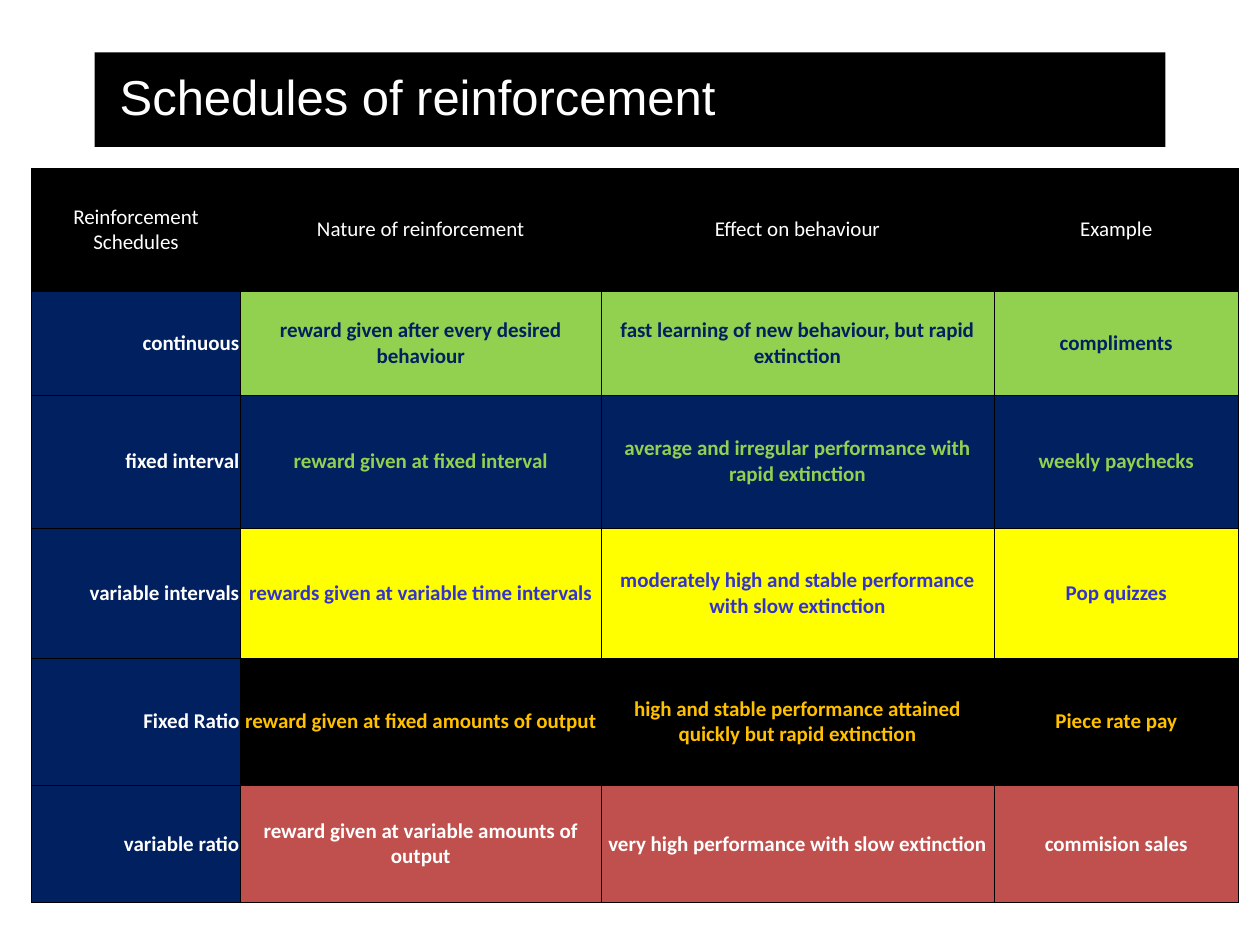
from lxml.etree import SubElement
from pptx import Presentation
from pptx.dml.color import RGBColor as RGB
from pptx.enum.text import MSO_ANCHOR as Anchor, MSO_AUTO_SIZE as AutoSize, PP_ALIGN as Align
from pptx.oxml.ns import qn
from pptx.util import Pt

BLACK = RGB(0x00, 0x00, 0x00)
WHITE = RGB(0xFF, 0xFF, 0xFF)
NAVY = RGB(0x00, 0x20, 0x60)
GREEN = RGB(0x92, 0xD0, 0x50)
YELLOW = RGB(0xFF, 0xFF, 0x00)
BLUE = RGB(0x33, 0x33, 0xCC)
AMBER = RGB(0xFF, 0xC0, 0x00)
RED = RGB(0xC0, 0x50, 0x4D)

schedules = [
    (70.56, BLACK, WHITE, ["Reinforcement Schedules", "Nature of reinforcement",
                           "Effect on behaviour", "Example"]),
    (59.04, GREEN, NAVY, ["continuous", "reward given after every desired behaviour",
                          "fast learning of new behaviour, but rapid extinction", "compliments"]),
    (76.32, NAVY, GREEN, ["fixed interval", "reward given at fixed interval",
                          "average and irregular performance with rapid extinction",
                          "weekly paychecks"]),
    (74.16, YELLOW, BLUE, ["variable intervals", "rewards given at variable time intervals",
                           "moderately high and stable performance with slow extinction",
                           "Pop quizzes"]),
    (72.72, BLACK, AMBER, ["Fixed Ratio", "reward given at fixed amounts of output",
                           "high and stable performance attained quickly but rapid extinction",
                           "Piece rate pay"]),
    (66.96, RED, WHITE, ["variable ratio", "reward given at variable amounts of output",
                         "very high performance with slow extinction", "commision sales"]),
]
column_widths = [119.52, 205.92, 224.64, 139.68]


def apply(target, values):
    for name, value in values.items():
        setattr(target, name, value)


def add_borders(cell):
    properties = cell._tc.get_or_add_tcPr()
    for position, side in enumerate(("lnL", "lnR", "lnT", "lnB")):
        border = SubElement(properties, qn(f"a:{side}"), w=str(Pt(0.23)))
        fill = SubElement(border, qn("a:solidFill"))
        SubElement(fill, qn("a:srgbClr"), val=str(BLACK))
        properties.insert(position, border)


deck = Presentation()
apply(deck, {"slide_width": Pt(720), "slide_height": Pt(540)})
slide = deck.slides.add_slide(deck.slide_layouts[5])

title = slide.shapes.title
apply(title, {"left": Pt(54), "top": Pt(30), "width": Pt(612), "height": Pt(54)})
title.fill.solid()
title.fill.fore_color.rgb = BLACK
apply(title.text_frame, {
    "text": "Schedules of reinforcement", "word_wrap": True, "auto_size": AutoSize.NONE,
    "vertical_anchor": Anchor.MIDDLE, "margin_left": Pt(14.4), "margin_right": Pt(7.2),
    "margin_top": Pt(3.6), "margin_bottom": Pt(3.6)})
heading = title.text_frame.paragraphs[0]
apply(heading, {"alignment": Align.LEFT, "line_spacing": 0.87})
apply(heading.font, {"name": "Arial", "size": Pt(28)})
heading.font.color.rgb = WHITE

table = slide.shapes.add_table(
    len(schedules), len(column_widths), Pt(18), Pt(96),
    Pt(sum(column_widths)), Pt(sum(schedule[0] for schedule in schedules))).table
apply(table, {"first_row": False, "horz_banding": False})
for column, width in zip(table.columns, column_widths):
    column.width = Pt(width)

for r, (height, row_fill, row_ink, words) in enumerate(schedules):
    table.rows[r].height = Pt(height)
    for c, wording in enumerate(words):
        is_schedule_name = r > 0 and c == 0
        cell = table.cell(r, c)
        apply(cell, {
            "text": wording, "vertical_anchor": Anchor.MIDDLE,
            "margin_left": Pt(0.72), "margin_right": Pt(0.72),
            "margin_top": Pt(3.6), "margin_bottom": Pt(3.6)})
        cell.fill.solid()
        cell.fill.fore_color.rgb = NAVY if is_schedule_name else row_fill
        add_borders(cell)
        entry = cell.text_frame.paragraphs[0]
        entry.alignment = Align.RIGHT if is_schedule_name else Align.CENTER
        apply(entry.font, {"name": "Calibri", "size": Pt(12), "bold": r > 0})
        entry.font.color.rgb = WHITE if is_schedule_name else row_ink

deck.save("out.pptx")
